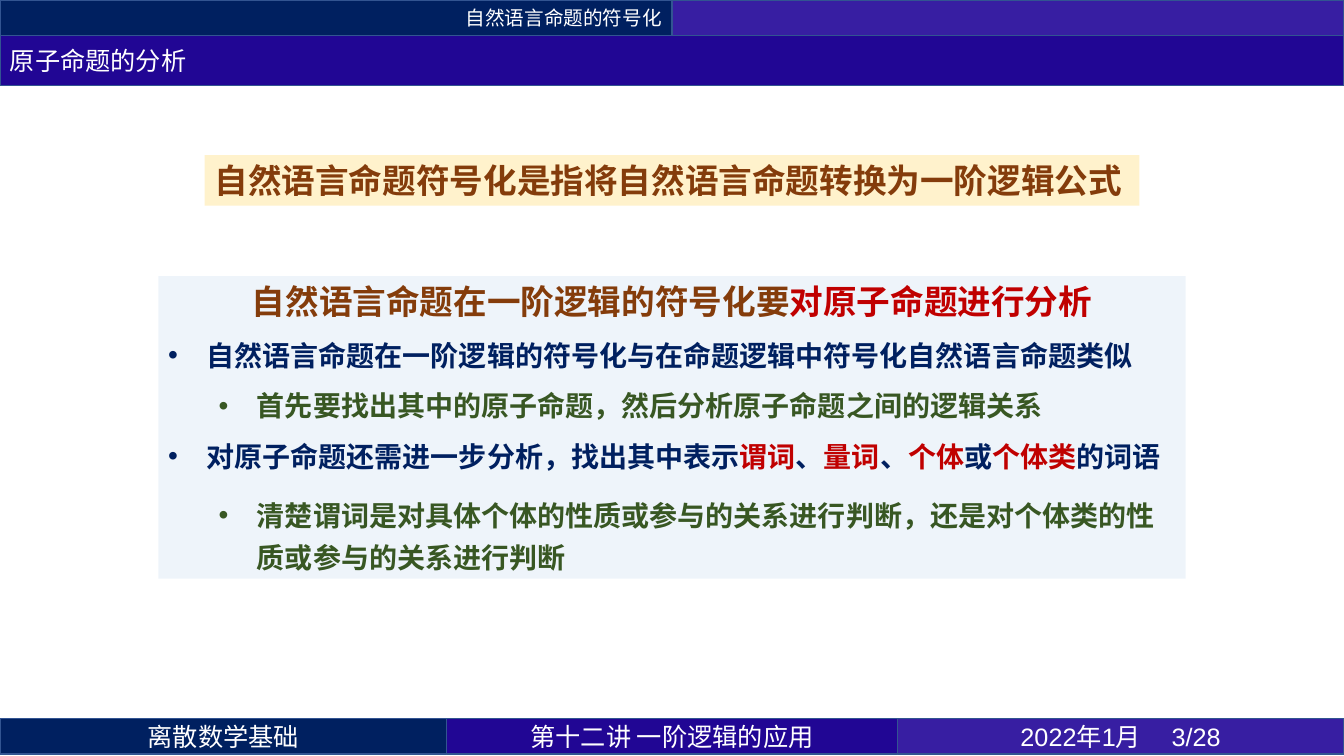
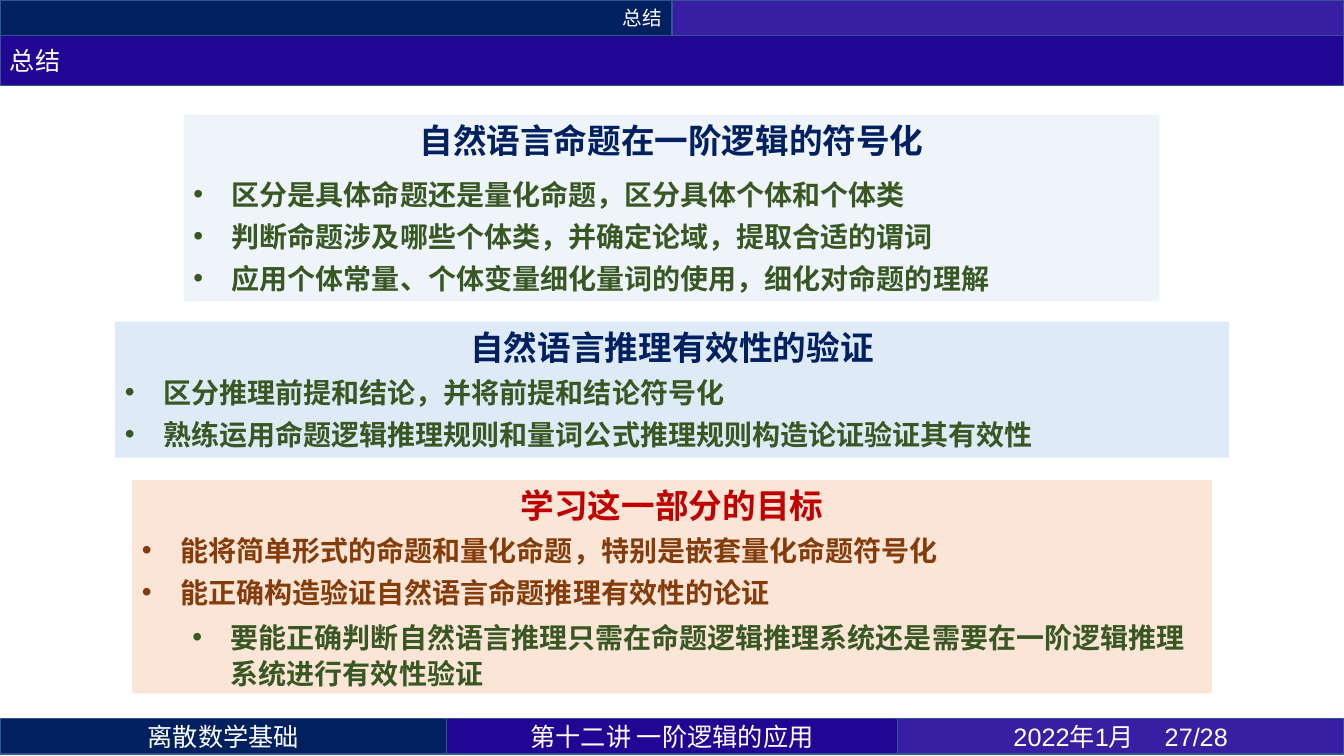
from lxml.etree import SubElement
from pptx import Presentation
from pptx.dml.color import RGBColor
from pptx.enum.shapes import MSO_SHAPE
from pptx.enum.text import MSO_ANCHOR, MSO_AUTO_SIZE, PP_ALIGN
from pptx.oxml.ns import qn
from pptx.util import Pt

PX = 9144  # EMU per px, 100 px to the inch
WIDTH, HEIGHT = 1333, 750
CJK, LATIN = "Noto Sans CJK SC", "Arial"
NAVY, INDIGO, VIOLET, EDGE = "002060", "210694", "371EA2", "325491"
WHITE, RED, BROWN, GREEN = "FFFFFF", "C00000", "843C0B", "385723"
CREAM, PALE_BLUE, PEACH = "FFF2CC", "DEEBF7", "FBE5D6"
LEFT, CENTER, RIGHT = PP_ALIGN.LEFT, PP_ALIGN.CENTER, PP_ALIGN.RIGHT

# Shared bands
BAND_H, TITLE_H, FOOTER_Y = 35, 50, 713
FOOTER_EDGES = [0, 443, 890, WIDTH]
COURSE, LECTURE, DATE, TOTAL = "离散数学基础", "第十二讲 一阶逻辑的应用", "2022年1月", 28

# Paragraph styles: size, alignment, level (None for no bullet)
STYLES = {
    "plain": (24, LEFT, None),
    "head": (24, CENTER, None),
    "item": (20, LEFT, 0),
    "sub": (20, LEFT, 1),
}
INDENT, LEVEL_STEP = 38, 50

# Paragraphs: style, colour, text (emphasis between asterisks), optional line spacing
SLIDES = [
    dict(section="自然语言命题的符号化", title="原子命题的分析", number=3, boxes=[
        dict(at=(203, 154, 927, 50), fill=CREAM, paragraphs=[
            ("plain", BROWN, "自然语言命题符号化是指将自然语言命题转换为一阶逻辑公式"),
        ]),
        dict(at=(157, 274, 1019, 300), fill=PALE_BLUE, alpha=50, before=6, after=6, paragraphs=[
            ("head", BROWN, "自然语言命题在一阶逻辑的符号化要*对原子命题进行分析*"),
            ("item", NAVY, "自然语言命题在一阶逻辑的符号化与在命题逻辑中符号化自然语言命题类似"),
            ("sub", GREEN, "首先要找出其中的原子命题，然后分析原子命题之间的逻辑关系"),
            ("item", NAVY, "对原子命题还需进一步分析，找出其中表示*谓词*、*量词*、*个体*或*个体类*的词语"),
            ("sub", GREEN, "清楚谓词是对具体个体的性质或参与的关系进行判断，"
                           "还是对个体类的性质或参与的关系进行判断", 30),
        ]),
    ]),
    dict(section="总结", title="总结", number=27, boxes=[
        dict(at=(182, 114, 968, 185), fill=PALE_BLUE, alpha=50, before=6, paragraphs=[
            ("head", NAVY, "自然语言命题在一阶逻辑的符号化"),
            ("item", GREEN, "区分是具体命题还是量化命题，区分具体个体和个体类"),
            ("item", GREEN, "判断命题涉及哪些个体类，并确定论域，提取合适的谓词"),
            ("item", GREEN, "应用个体常量、个体变量细化量词的使用，细化对命题的理解"),
        ]),
        dict(at=(114, 319, 1105, 135), fill=PALE_BLUE, after=6, paragraphs=[
            ("head", NAVY, "自然语言推理有效性的验证"),
            ("item", GREEN, "区分推理前提和结论，并将前提和结论符号化"),
            ("item", GREEN, "熟练运用命题逻辑推理规则和量词公式推理规则构造论证验证其有效性"),
        ]),
        dict(at=(131, 476, 1071, 212), fill=PEACH, after=6, paragraphs=[
            ("head", RED, "学习这一部分的目标"),
            ("item", BROWN, "能将简单形式的命题和量化命题，特别是嵌套量化命题符号化"),
            ("item", BROWN, "能正确构造验证自然语言命题推理有效性的论证"),
            ("sub", GREEN, "要能正确判断自然语言推理只需在命题逻辑推理系统"
                           "还是需要在一阶逻辑推理系统进行有效性验证", 26),
        ]),
    ]),
]


def rgb(color):
    return RGBColor.from_string(color)


def emu(*lengths):
    return [round(v * PX) for v in lengths]


def set_fill(sp, color, alpha=None):
    sp.fill.solid()
    sp.fill.fore_color.rgb = rgb(color)
    if alpha is not None:
        clr = sp.fill._xPr.find(".//" + qn("a:srgbClr"))
        SubElement(clr, qn("a:alpha"), val=str(alpha * 1000))


def add_run(p, text, color, size, name=CJK, bold=False):
    r = p.add_run()
    r.text = text
    for key, value in dict(name=name, size=Pt(size), bold=bold).items():
        setattr(r.font, key, value)
    r.font.color.rgb = rgb(color)
    SubElement(r.font._element, qn("a:ea"), typeface=CJK)


def add_bullet(p, level):
    p.level = level
    pPr = p._p.get_or_add_pPr()
    margin, indent = emu(INDENT + level * LEVEL_STEP, -INDENT)
    pPr.set("marL", str(margin))
    pPr.set("indent", str(indent))
    SubElement(pPr, qn("a:buFont"), typeface=LATIN)
    SubElement(pPr, qn("a:buChar"), char="•")


def add_band(s, at, color, text="", align=LEFT, size=18, name=CJK):
    sp = s.shapes.add_shape(MSO_SHAPE.RECTANGLE, *emu(*at))
    sp.shadow.inherit = False
    set_fill(sp, color)
    sp.line.color.rgb = rgb(EDGE)
    sp.line.width = Pt(1)
    if text:
        tf = sp.text_frame
        tf.vertical_anchor = MSO_ANCHOR.MIDDLE
        p = tf.paragraphs[0]
        p.alignment = align
        add_run(p, text, WHITE, size, name)


def add_frame(s, section, title, number):
    half = WIDTH / 2
    add_band(s, (0, 0, half, BAND_H), NAVY, section, RIGHT, 14)
    add_band(s, (half, 0, half, BAND_H), VIOLET)
    footers = [(NAVY, COURSE, CJK), (INDIGO, LECTURE, CJK),
               (VIOLET, f"{DATE}\t{number}/{TOTAL}", LATIN)]
    for x, end, (color, text, name) in zip(FOOTER_EDGES, FOOTER_EDGES[1:], footers):
        add_band(s, (x, FOOTER_Y, end - x, BAND_H), color, text, CENTER, name=name)
    add_band(s, (0, BAND_H, WIDTH, TITLE_H), INDIGO, title)


def add_box(s, at, fill, paragraphs, alpha=None, before=0, after=0):
    sp = s.shapes.add_textbox(*emu(*at))
    set_fill(sp, fill, alpha)
    tf = sp.text_frame
    tf.word_wrap = True
    tf.auto_size = MSO_AUTO_SIZE.SHAPE_TO_FIT_TEXT
    for i, (style, color, text, *spacing) in enumerate(paragraphs):
        size, align, level = STYLES[style]
        p = tf.add_paragraph() if i else tf.paragraphs[0]
        if level is not None:
            add_bullet(p, level)
        p.alignment = align
        p.space_before = Pt(before if i else 0)
        p.space_after = Pt(6 if style == "head" else after)
        if spacing:
            p.line_spacing = Pt(spacing[0])
        for j, part in enumerate(text.split("*")):
            if part:
                add_run(p, part, RED if j % 2 else color, size, bold=True)


def main():
    prs = Presentation()
    prs.slide_width, prs.slide_height = emu(WIDTH, HEIGHT)
    for data in SLIDES:
        s = prs.slides.add_slide(prs.slide_layouts[6])
        add_frame(s, data["section"], data["title"], data["number"])
        for box in data["boxes"]:
            add_box(s, **box)
    prs.save("out.pptx")


if __name__ == "__main__":
    main()
